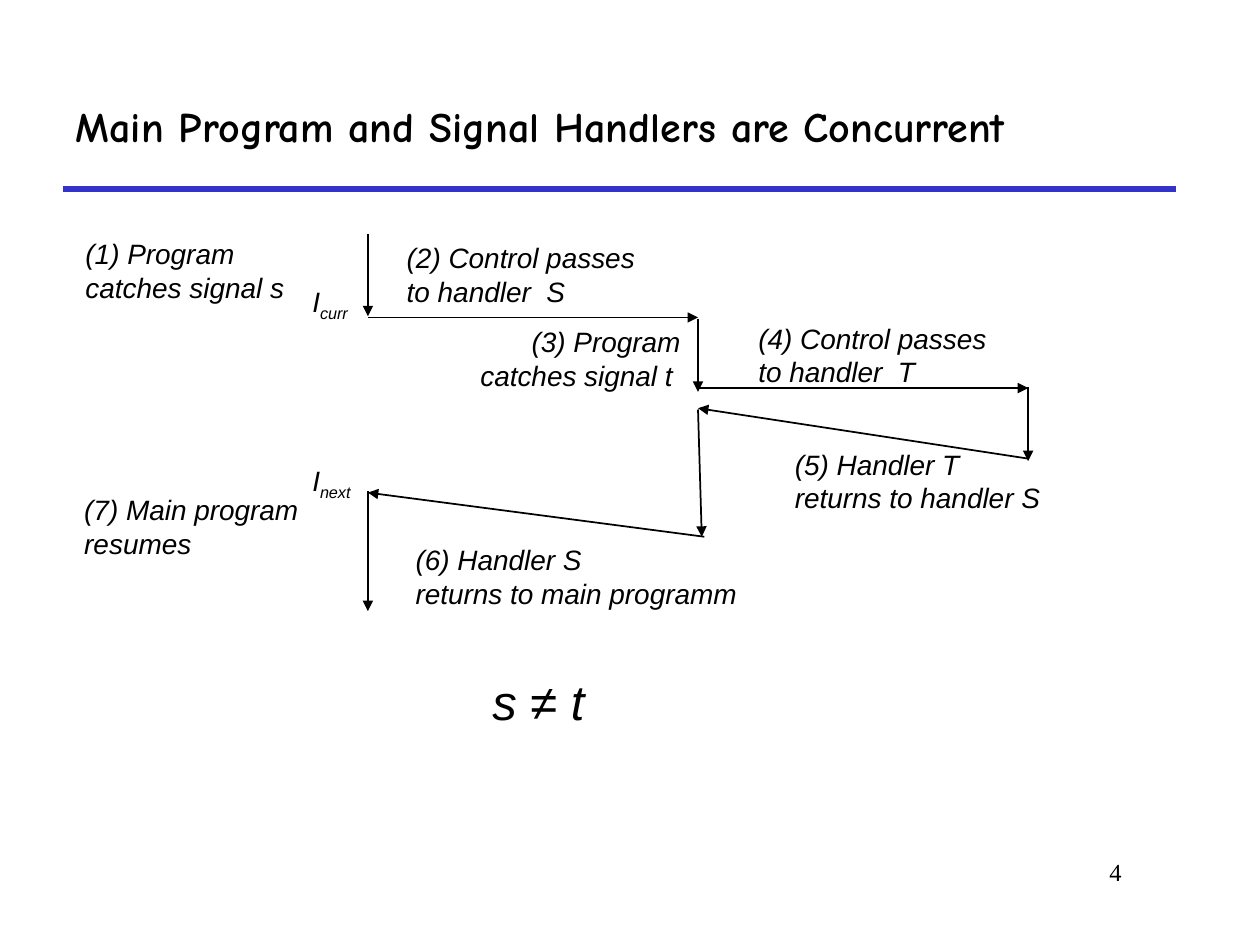
from pptx import Presentation
from pptx.dml.color import RGBColor
from pptx.enum.shapes import MSO_CONNECTOR
from pptx.enum.text import MSO_ANCHOR, MSO_AUTO_SIZE, PP_ALIGN
from pptx.oxml.ns import qn
from pptx.util import Inches, Pt
from lxml.etree import SubElement

COLORS = {"ink": "000000", "rule": "3333CC"}

MAIN_X, S_X, T_X = 2.92, 5.54, 8.16
ARROWS = [
    (MAIN_X, 1.86, MAIN_X, 2.51),
    (MAIN_X, 2.52, S_X, 2.52),
    (S_X, 2.53, S_X, 3.11),
    (S_X, 3.08, T_X, 3.08),
    (T_X, 3.07, T_X, 3.66),
    (T_X, 3.64, S_X, 3.24),
    (S_X, 3.25, 5.57, 4.26),
    (5.59, 4.26, MAIN_X, 3.91),
    (MAIN_X, 3.9, MAIN_X, 4.85),
]

STEPS = [
    ((0.58, 1.83, 1.78, 0.63), "(1) Program catches signal s", PP_ALIGN.LEFT),
    ((3.13, 1.86, 2.07, 0.63), "(2) Control passes\nto handler  S", PP_ALIGN.LEFT),
    ((3.34, 2.53, 2.16, 0.63), "(3) Program catches signal t ", PP_ALIGN.RIGHT),
    ((5.92, 2.5, 2.07, 0.63), "(4) Control passes\nto handler  T", PP_ALIGN.LEFT),
    ((6.21, 3.5, 2.21, 0.63), "(5) Handler T\nreturns to handler S", PP_ALIGN.LEFT),
    ((3.2, 4.26, 2.81, 0.63), "(6) Handler S\nreturns to main programm", PP_ALIGN.LEFT),
    ((0.57, 3.86, 1.99, 0.63), "(7) Main program resumes", PP_ALIGN.LEFT),
]

INSTRUCTIONS = [
    ((2.38, 2.21, 0.48, 0.41), "curr"),
    ((2.38, 3.63, 0.52, 0.41), "next"),
]


def style_run(r, size, font="Arial", italic=True, bold=False):
    r.font.name = font
    r.font.size = Pt(size)
    r.font.italic = italic
    r.font.bold = bold
    r.font.color.rgb = RGBColor.from_string(COLORS["ink"])


def add_label(s, box, text, size=16, align=PP_ALIGN.LEFT, wrap=True, **style):
    sp = s.shapes.add_textbox(*map(Inches, box))
    tf = sp.text_frame
    tf.word_wrap = wrap
    tf.auto_size = MSO_AUTO_SIZE.SHAPE_TO_FIT_TEXT
    tf.text = text
    for p in tf.paragraphs:
        p.alignment = align
        for r in p.runs:
            style_run(r, size, **style)
    return sp


def add_line(s, ends, color, width, arrow=False):
    sp = s.shapes.add_connector(MSO_CONNECTOR.STRAIGHT, *map(Inches, ends))
    sp.line.color.rgb = RGBColor.from_string(COLORS[color])
    sp.line.width = Pt(width)
    spPr = sp._element.spPr
    if arrow:
        SubElement(spPr.get_or_add_ln(), qn("a:tailEnd"), type="triangle")
    SubElement(spPr, qn("a:effectLst"))


def add_title(s, box, text):
    sp = s.shapes.title
    sp.left, sp.top, sp.width, sp.height = map(Inches, box)
    tf = sp.text_frame
    tf.text = text
    tf.vertical_anchor = MSO_ANCHOR.MIDDLE
    p = tf.paragraphs[0]
    p.alignment = PP_ALIGN.LEFT
    style_run(p.runs[0], 24, "Comic Neue", italic=False, bold=True)
    left, top, width, height = box
    add_line(s, (left, top + height, left + width, top + height), "rule", 3)


def add_instruction(s, box, subscript):
    sp = add_label(s, box, "I", wrap=False)
    r = sp.text_frame.paragraphs[0].add_run()
    r.text = subscript
    style_run(r, 16)
    r._r.get_or_add_rPr().set("baseline", "-25000")


def add_control_flow(s):
    for ends in ARROWS:
        add_line(s, ends, "ink", 1, arrow=True)
    for box, text, align in STEPS:
        add_label(s, box, text, align=align, wrap="\n" not in text)
    for box, subscript in INSTRUCTIONS:
        add_instruction(s, box, subscript)


def main():
    prs = Presentation()
    prs.slide_width, prs.slide_height = Inches(10), Inches(7.5)
    s = prs.slides.add_slide(prs.slide_layouts[5])
    add_title(s, (0.5, 0.5, 8.83, 1), "Main Program and Signal Handlers are Concurrent")
    add_control_flow(s)
    add_label(s, (3.81, 5.28, 1.03, 0.56), "s ≠ t", 28)
    add_label(s, (7.58, 6.75, 1.42, 0.5), "4", 14, PP_ALIGN.RIGHT,
              font="Times New Roman", italic=False)
    prs.save("out.pptx")


if __name__ == "__main__":
    main()
